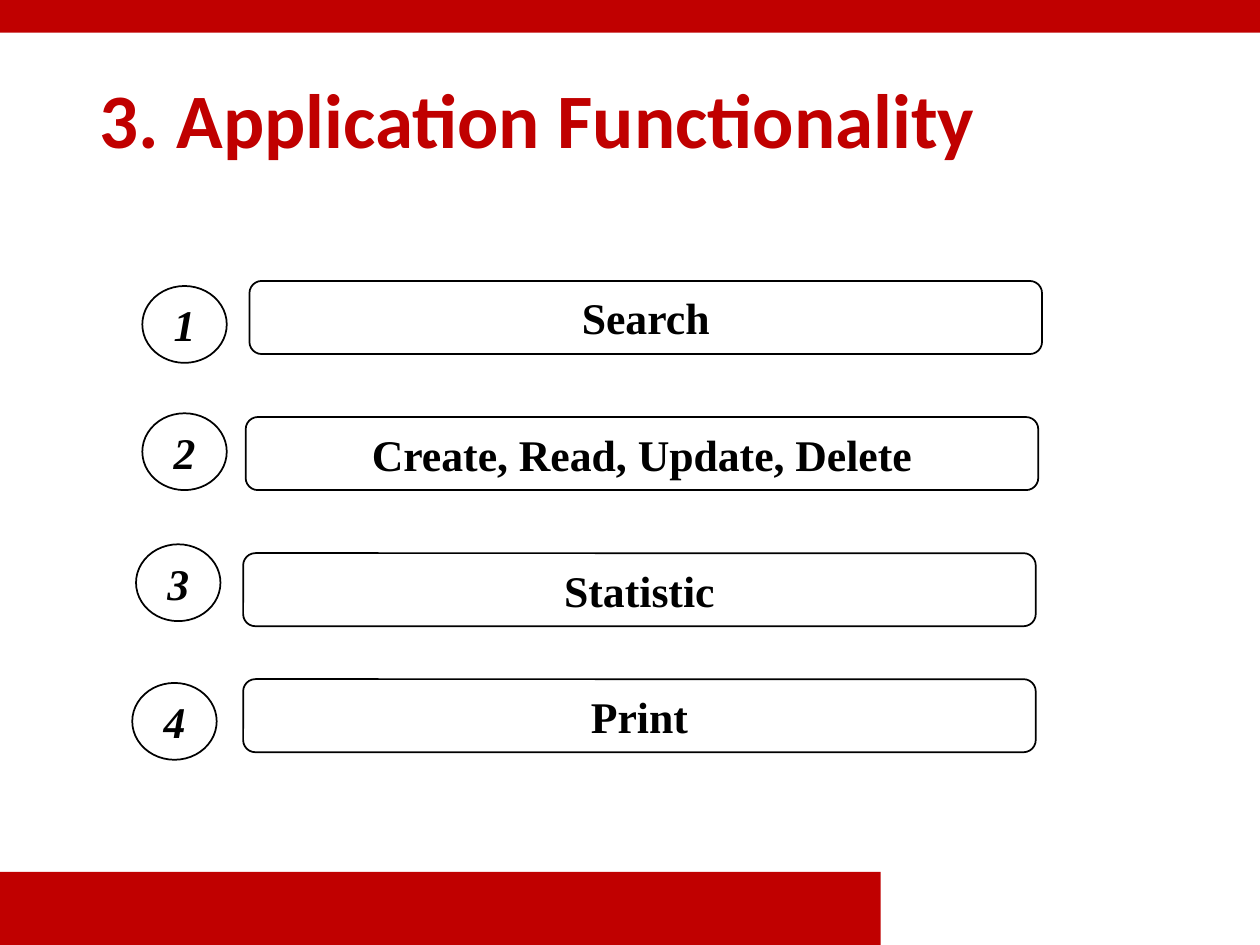
from pptx import Presentation
from pptx.dml.color import RGBColor
from pptx.enum.shapes import MSO_SHAPE
from pptx.enum.text import MSO_ANCHOR, PP_ALIGN
from pptx.util import Inches, Pt

RECT = MSO_SHAPE.RECTANGLE
ROUNDED = MSO_SHAPE.ROUNDED_RECTANGLE
OVAL = MSO_SHAPE.OVAL
MIDDLE = MSO_ANCHOR.MIDDLE
LEFT, CENTER = PP_ALIGN.LEFT, PP_ALIGN.CENTER
RED, BLACK, WHITE = "C00000", "000000", "FFFFFF"


def write(shape, text, font="Times New Roman", size=25, color=BLACK,
          italic=False, align=CENTER):
    frame = shape.text_frame
    frame.word_wrap = True
    frame.vertical_anchor = MIDDLE
    paragraph = frame.paragraphs[0]
    paragraph.alignment = align
    run = paragraph.add_run()
    run.text = text
    run.font.name = font
    run.font.size = Pt(size)
    run.font.bold = True
    run.font.italic = italic
    run.font.color.rgb = RGBColor.from_string(color)


def add_block(kind, left, top, width, height, fill, line=None):
    block = slide.shapes.add_shape(
        kind, Inches(left), Inches(top), Inches(width), Inches(height))
    block.shadow.inherit = False
    block.fill.solid()
    block.fill.fore_color.rgb = RGBColor.from_string(fill)
    if line:
        block.line.color.rgb = RGBColor.from_string(line)
        block.line.width = Pt(1)
    else:
        block.line.fill.background()
    return block


prs = Presentation()
prs.slide_width, prs.slide_height = Inches(10), Inches(7.5)
slide = prs.slides.add_slide(prs.slide_layouts[5])

# Red bands at the foot and head
add_block(RECT, 0, 6.92, 6.99, 0.58, RED)
add_block(RECT, 0, 0, 10, 0.26, RED)

# Title
title = slide.shapes.title
title.left, title.top = Inches(0.69), Inches(0.4)
title.width, title.height = Inches(8.62), Inches(1.16)
write(title, "3. Application Functionality", font="Calibri", size=44,
      color=RED, align=LEFT)
title.text_frame.paragraphs[0].line_spacing = 0.9

# Numbered functions: label, bar left and top, number left and top
functions = [
    ("Search", 1.98, 2.23, 1.13, 2.27),
    ("Create, Read, Update, Delete", 1.95, 3.31, 1.13, 3.28),
    ("Statistic", 1.93, 4.39, 1.08, 4.32),
    ("Print", 1.93, 5.39, 1.05, 5.42),
]
for number, (label, bar_left, bar_top, number_left, number_top) in enumerate(
        functions, start=1):
    bar = add_block(ROUNDED, bar_left, bar_top, 6.29, 0.58, WHITE, BLACK)
    write(bar, label)
    badge = add_block(OVAL, number_left, number_top, 0.67, 0.61, WHITE, BLACK)
    write(badge, str(number), italic=True)

prs.save("out.pptx")
